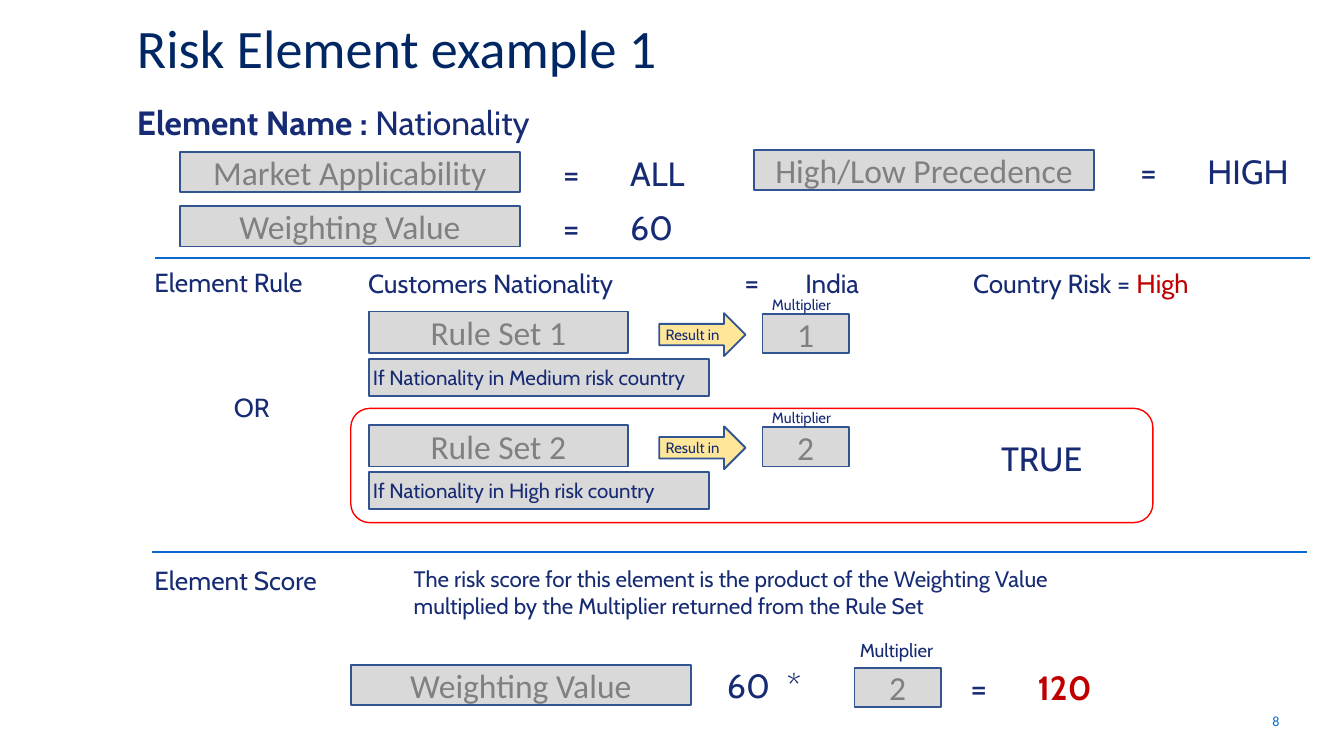
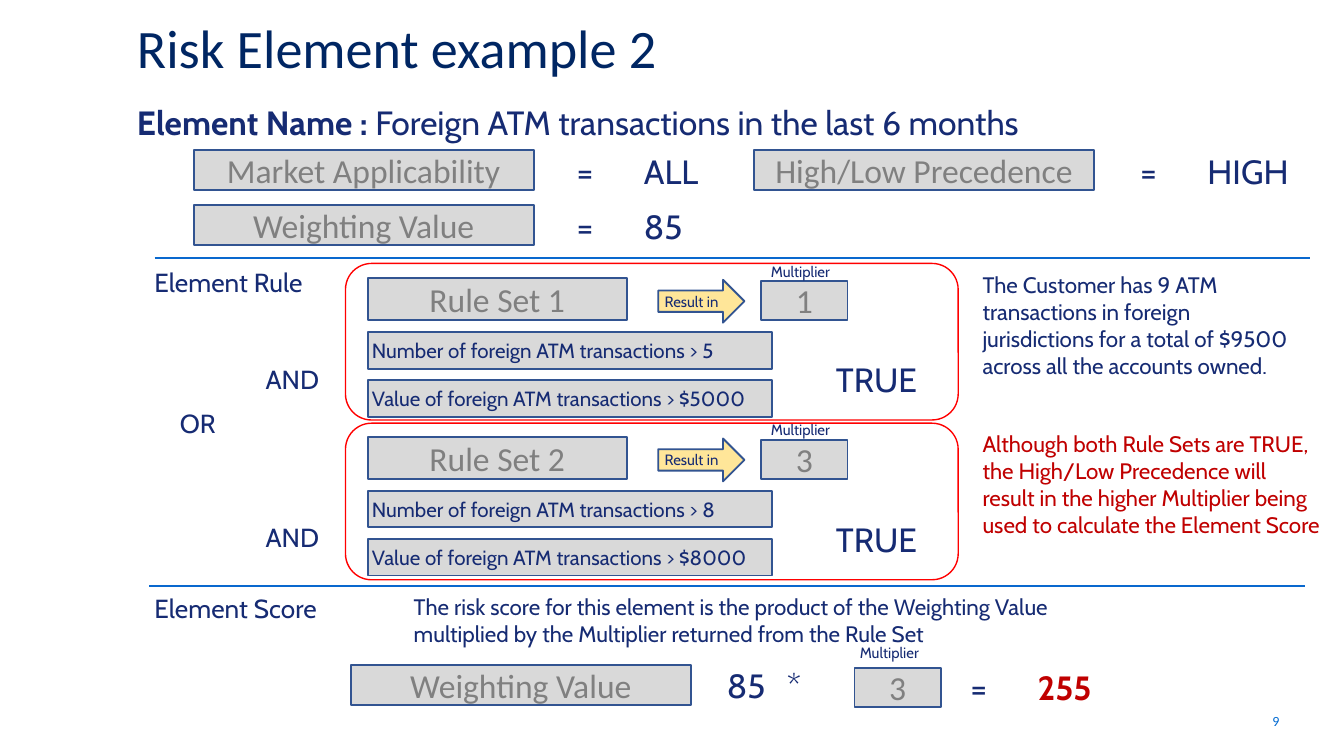
from dataclasses import dataclass

from lxml import etree
from pptx import Presentation
from pptx import util as u
from pptx.dml.color import RGBColor
from pptx.enum import shapes, text
from pptx.oxml.ns import qn

Cm = u.Cm
KIND = shapes.MSO_SHAPE
ALIGN = text.PP_ALIGN
ANCHOR = text.MSO_ANCHOR


@dataclass(frozen=True)
class Theme:
    body: str = "Cabin"
    head: str = "Calibri"
    title: str = "002663"
    ink: str = "162B73"
    alert: str = "C00000"
    grey: str = "808080"
    panel: str = "D9D9D9"
    arrow: str = "FFE699"
    border: str = "325491"
    rule: str = "0968CE"
    ring: str = "FF0000"
    page: str = "006AD2"
    title_pt: float = 29
    large: float = 18
    equals: float = 16
    label: float = 14
    note: float = 12
    condition: float = 11
    caption: float = 10
    small: float = 8
    page_pt: float = 7.5


T = Theme()
BOX_W, BOX_H = 6.43, 0.76
MULT_W, MULT_H = 1.63, 0.74
TAB = 1.27


def set_font(font, size, color=T.ink, face=T.body, bold=False):
    font.size, font.name, font.bold = u.Pt(size), face, bold
    font.color.rgb = RGBColor.from_string(color)


def add_tabs(p, stops):
    tabs = etree.SubElement(p._p.get_or_add_pPr(), qn("a:tabLst"))
    for stop in stops:
        etree.SubElement(tabs, qn("a:tab"), pos=str(Cm(stop)), algn="l")


def write(sp, runs, size, align=ALIGN.LEFT, anchor=ANCHOR.TOP, left=0,
          tabs=(), spacing=None, **style):
    """Fill a shape with one paragraph: a string, or (string, style changes) runs."""
    tf = sp.text_frame
    tf.word_wrap = True
    tf.vertical_anchor = anchor
    tf.margin_left = Cm(left)
    tf.margin_top = tf.margin_right = tf.margin_bottom = 0
    p = tf.paragraphs[0]
    p.alignment = align
    if spacing:
        p.line_spacing = spacing
    if tabs:
        add_tabs(p, tabs)
    style["size"] = size
    if isinstance(runs, str):
        p.add_run().text = runs
        set_font(p.font, **style)
        return
    for words, change in runs:
        r = p.add_run()
        r.text = words
        set_font(r.font, **{**style, **change})


def add_text(s, x, y, w, h, runs, size, **options):
    write(s.shapes.add_textbox(Cm(x), Cm(y), Cm(w), Cm(h)), runs, size, **options)


def add_shape(s, kind, x, y, w, h, fill=T.panel, line=T.border, weight=1):
    sp = s.shapes.add_shape(kind, Cm(x), Cm(y), Cm(w), Cm(h))
    sp.shadow.inherit = False
    if fill:
        sp.fill.solid()
        sp.fill.fore_color.rgb = RGBColor.from_string(fill)
    else:
        sp.fill.background()
    sp.line.color.rgb = RGBColor.from_string(line)
    sp.line.width = u.Pt(weight)
    return sp


def add_panel(s, x, y, w, h, words):
    write(add_shape(s, KIND.RECTANGLE, x, y, w, h), words, T.large,
          align=ALIGN.CENTER, anchor=ANCHOR.MIDDLE, color=T.grey, face=T.head)


def add_divider(s, x, y, w=21.84):
    cx = s.shapes.add_connector(shapes.MSO_CONNECTOR.STRAIGHT,
                                Cm(x), Cm(y), Cm(x + w), Cm(y))
    cx.line.color.rgb = RGBColor.from_string(T.rule)
    cx.line.width = u.Pt(1)
    etree.SubElement(cx._element.spPr, qn("a:effectLst"))


def add_field(s, x, y, name, value, gap=0.81):
    add_panel(s, x, y, BOX_W, BOX_H, name)
    add_text(s, x + BOX_W + gap, y + 0.02, 2.85, BOX_H, f"=\t{value}", T.large,
             tabs=[TAB])


def add_header(s, x, y, name, weight):
    """Element name, its three settings, and the start of the rule section."""
    add_text(s, 2.59, 1.93, 19.4, 0.76,
             [("Element Name : ", {"bold": True}), (name, {})], T.large)
    for i, (field, value) in enumerate([("Market Applicability", "ALL"),
                                        ("Weighting Value", weight)]):
        add_field(s, x, y + 1.03 * i, field, value)
    add_field(s, 14.25, 2.84, "High/Low Precedence", "HIGH", gap=0.87)
    add_divider(s, 2.92, 4.88)
    add_text(s, 2.92, 5.03, 4.04, 0.61, "Element Rule", T.label)


def add_rule_set(s, x, y, number, multiplier, conditions, width, drop):
    """Rule set with its multiplier; conditions start `drop` below its top."""
    add_panel(s, x, y, 4.9, 0.79, f"Rule Set {number}")
    arrow = add_shape(s, KIND.RIGHT_ARROW, x + 5.49, y + 0.03, 1.63, 0.81, T.arrow)
    write(arrow, "Result in", T.small, anchor=ANCHOR.MIDDLE, left=0.12)
    add_panel(s, x + 7.44, y + 0.05, MULT_W, MULT_H, multiplier)
    add_text(s, x + 7.62, y - 0.3, 1.68, 0.33, "Multiplier", T.small)
    for i, condition in enumerate(conditions):
        sp = add_shape(s, KIND.RECTANGLE, x, y + drop + 0.91 * i, width, 0.69)
        write(sp, condition, T.condition, anchor=ANCHOR.MIDDLE, left=0.08)
    if len(conditions) > 1:
        add_text(s, x - 1.93, y + 1.6, 1.27, 0.61, "AND", T.label)


def add_true_ring(s, x, y, w, h, dx, dy):
    """Red outline around a rule set that holds, with TRUE at (dx, dy) inside it."""
    add_shape(s, KIND.ROUNDED_RECTANGLE, x, y, w, h, None, T.ring, 0.75)
    add_text(s, x + dx, y + dy, 2.31, BOX_H, "TRUE", T.large)


def add_score(s, x, y, head_gap, weight, multiplier, total, caption):
    add_divider(s, x, y)
    head = y + head_gap
    add_text(s, 2.92, head, 4.04, 0.61, "Element Score", T.label)
    add_text(s, 7.82, head + 0.02, 12.52, 1.02,
             "The risk score for this element is the product of the Weighting Value "
             "multiplied by the Multiplier returned from the Rule Set", T.note)
    row = 12.57
    add_panel(s, 6.63, row, BOX_W, BOX_H, "Weighting Value")
    add_text(s, 13.74, row, 1.75, BOX_H, f"{weight}\t*", T.large, tabs=[1.13])
    add_panel(s, 16.15, row + 0.05, MULT_W, MULT_H, multiplier)
    add_text(s, 16.25, row - 0.57, 1.68, 0.5, "Multiplier", caption,
             anchor=ANCHOR.BOTTOM)
    add_text(s, 18.34, row + 0.03, 2.59, BOX_H,
             [("=\t", {}), (total, {"color": T.alert, "bold": True})], T.large,
             tabs=[TAB])


def new_slide(prs, title, page):
    s = prs.slides.add_slide(prs.slide_layouts[6])
    add_text(s, 2.59, 0.49, 20, 1.02, title, T.title_pt, color=T.title, face=T.head,
             spacing=0.82)
    add_text(s, 22.25, 13.31, 1.93, 0.64, page, T.page_pt, color=T.page, face=T.head,
             align=ALIGN.RIGHT, anchor=ANCHOR.MIDDLE)
    return s


def nationality_slide(prs):
    s = new_slide(prs, "Risk Element example 1", "8")
    add_header(s, 3.4, 2.87, "Nationality", "60")
    add_text(s, 6.96, 4.98, 16.43, 0.69,
             [("Customers Nationality\t", {}), ("=\t", {"size": T.equals}),
              ("India\tCountry Risk = ", {}), ("High", {"color": T.alert})],
             T.label, tabs=[7.11, 8.26, 11.43])
    for i, risk in enumerate(["Medium", "High"]):
        add_rule_set(s, 6.97, 5.89 + 2.14 * i, i + 1, str(i + 1),
                     [f"If Nationality in {risk} risk country"], BOX_W, 0.9)
    add_text(s, 4.42, 7.39, 1.07, 0.61, "OR", T.label)
    add_true_ring(s, 6.63, 7.72, 15.16, 2.16, 12.29, 0.56)
    add_score(s, 2.87, 10.44, 0.23, "60", "2", "120", T.caption)


def transactions_slide(prs):
    s = new_slide(prs, "Risk Element example 2", "9")
    add_header(s, 3.66, 2.84, "Foreign ATM transactions in the last 6 months", "85")
    rules = [("1", 5, 5000), ("3", 8, 8000)]
    for i, (multiplier, count, value) in enumerate(rules):
        add_rule_set(s, 6.95, 5.26 + 3 * i, i + 1, multiplier,
                     [f"Number of foreign ATM transactions > {count}",
                      f"Value of foreign ATM transactions > ${value}"], 7.64, 1.02)
        add_true_ring(s, 6.53, 4.98 + 3.02 * i, 11.58, 2.96, 9.27, 1.8)
    add_text(s, 3.4, 7.7, 1.07, 0.61, "OR", T.label)
    add_text(s, 18.57, 5.13, 6.1, 2.57,
             "The Customer has 9 ATM transactions in foreign jurisdictions for a "
             "total of $9500 across all the accounts owned.", T.note)
    add_text(s, 18.57, 8.13, 6.38, 2.57,
             "Although both Rule Sets are TRUE, the High/Low Precedence will result "
             "in the higher Multiplier being used to calculate the Element Score",
             T.note, color=T.alert)
    add_score(s, 2.82, 11.07, 0.13, "85", "3", "255", T.small)


def main():
    prs = Presentation()
    prs.slide_width, prs.slide_height = Cm(25.4), Cm(14.29)
    nationality_slide(prs)
    transactions_slide(prs)
    prs.save("out.pptx")


if __name__ == "__main__":
    main()
